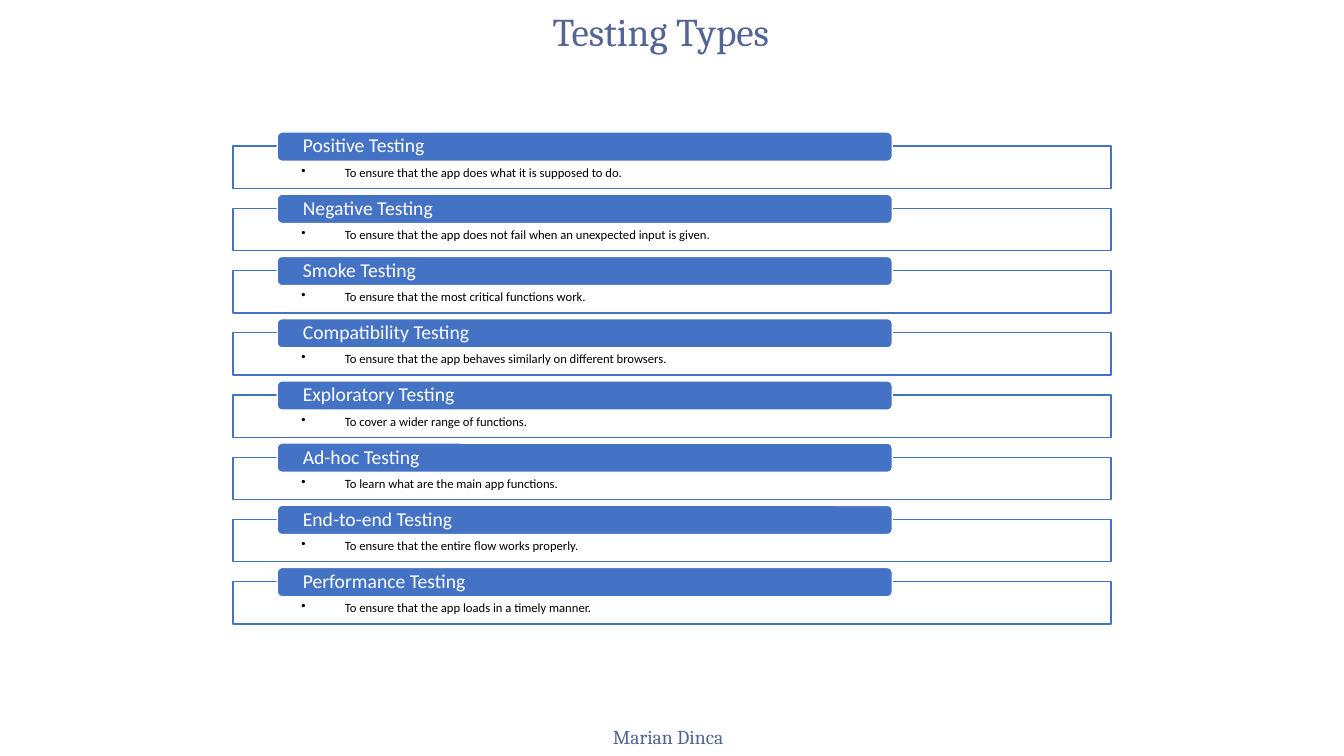
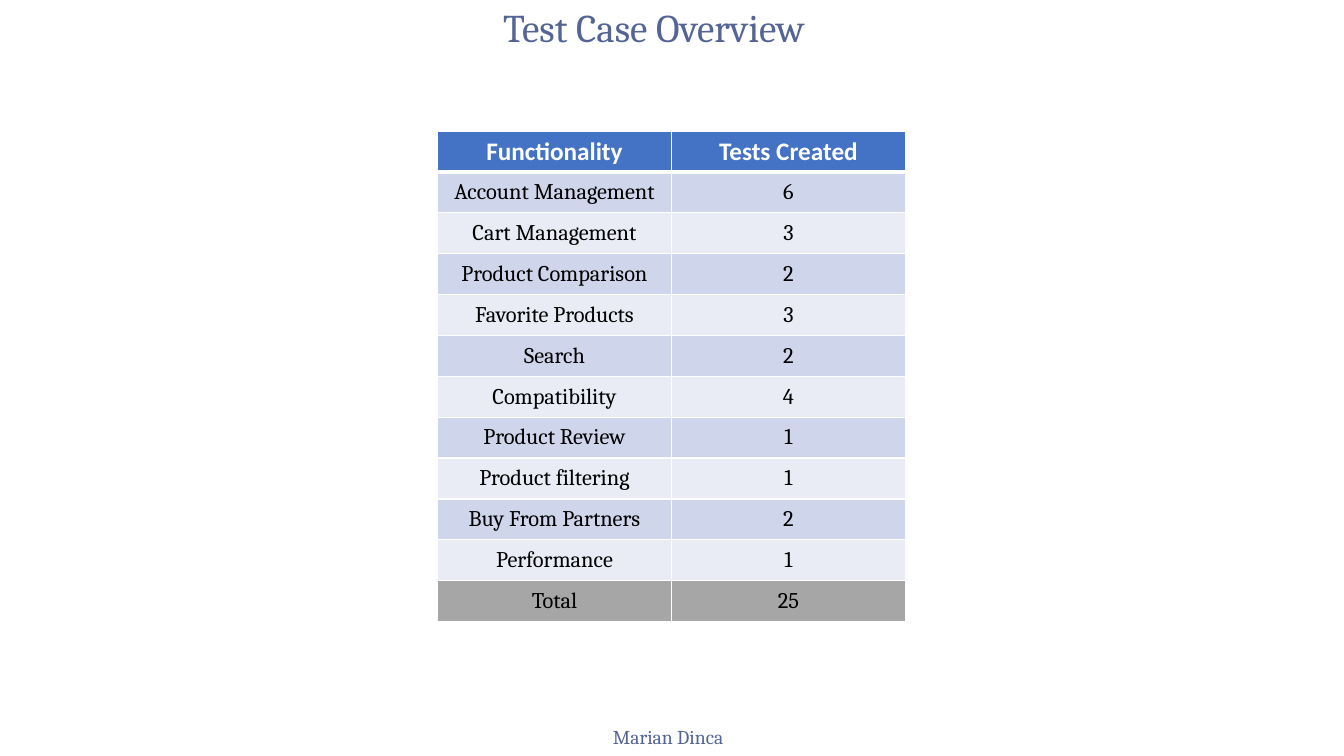
from dataclasses import dataclass

from pptx import Presentation
from pptx.dml.color import RGBColor
from pptx.enum.shapes import MSO_SHAPE
from pptx.enum.text import MSO_ANCHOR, PP_ALIGN
from pptx.oxml.ns import qn
from pptx.shapes.autoshape import Shape
from pptx.slide import Slide
from pptx.table import _Cell
from pptx.text.text import TextFrame
from pptx.util import Inches, Pt
from lxml.etree import SubElement


@dataclass(frozen=True)
class Theme:
    title: str = "536495"
    accent: str = "4472C4"
    white: str = "FFFFFF"
    black: str = "000000"
    band_dark: str = "CFD5EA"
    band_light: str = "E9EBF5"
    total: str = "A6A6A6"
    serif: str = "Cambria"
    sans: str = "Calibri"
    title_size: int = 28
    header_size: int = 18
    cell_size: int = 16
    label_size: int = 14
    note_size: int = 9


@dataclass(frozen=True)
class Box:
    left: float
    top: float
    width: float
    height: float

    def emu(self) -> tuple[int, int, int, int]:
        return (Inches(self.left), Inches(self.top),
                Inches(self.width), Inches(self.height))


@dataclass(frozen=True)
class TestingType:
    name: str
    purpose: str


@dataclass(frozen=True)
class TestCount:
    functionality: str
    tests: int


THEME = Theme()
FOOTER = Box(5.98, 7.14, 1.38, 0.34)

TESTING_TYPES = [
    TestingType("Positive Testing", "To ensure that the app does what it is supposed to do."),
    TestingType("Negative Testing",
                "To ensure that the app does not fail when an unexpected input is given."),
    TestingType("Smoke Testing", "To ensure that the most critical functions work."),
    TestingType("Compatibility Testing",
                "To ensure that the app behaves similarly on different browsers."),
    TestingType("Exploratory Testing", "To cover a wider range of functions."),
    TestingType("Ad-hoc Testing", "To learn what are the main app functions."),
    TestingType("End-to-end Testing", "To ensure that the entire flow works properly."),
    TestingType("Performance Testing", "To ensure that the app loads in a timely manner."),
]

TEST_COUNTS = [
    TestCount("Account Management", 6),
    TestCount("Cart Management", 3),
    TestCount("Product Comparison", 2),
    TestCount("Favorite Products", 3),
    TestCount("Search", 2),
    TestCount("Compatibility", 4),
    TestCount("Product Review", 1),
    TestCount("Product filtering", 1),
    TestCount("Buy From Partners", 2),
    TestCount("Performance", 1),
]


def write(tf: TextFrame, text: str, *, size: int, color: str, font: str = THEME.serif,
          bold: bool = False, align: PP_ALIGN = PP_ALIGN.LEFT,
          anchor: MSO_ANCHOR = MSO_ANCHOR.TOP, spacing: float = 1.0,
          insets: tuple[float, float, float, float] = (0.1, 0.05, 0.1, 0.05),
          bullet_indent: float = 0) -> None:
    tf.word_wrap = True
    tf.vertical_anchor = anchor
    tf.margin_left, tf.margin_top, tf.margin_right, tf.margin_bottom = map(Inches, insets)
    p = tf.paragraphs[0]
    p.alignment = align
    p.line_spacing = spacing
    p.space_before = Pt(0)
    r = p.add_run()
    r.text = text
    r.font.name = font
    r.font.size = Pt(size)
    r.font.bold = bold
    r.font.color.rgb = RGBColor.from_string(color)
    if bullet_indent:
        pPr = p._p.get_or_add_pPr()
        pPr.set("marL", str(Inches(bullet_indent)))
        pPr.set("indent", str(-Inches(bullet_indent)))
        SubElement(pPr, qn("a:buChar")).set("char", "•")


def add_titled_slide(prs: Presentation, title: str, box: Box) -> Slide:
    s = prs.slides.add_slide(prs.slide_layouts[5])
    sp = s.shapes.title
    sp.left, sp.top, sp.width, sp.height = box.emu()
    write(sp.text_frame, title, size=THEME.title_size, color=THEME.title)
    footer = s.shapes.add_textbox(*FOOTER.emu())
    write(footer.text_frame, "Marian Dinca", size=THEME.label_size, color=THEME.title)
    return s


def add_panel(s: Slide, kind: MSO_SHAPE, box: Box, fill: str, line: str) -> Shape:
    sp = s.shapes.add_shape(kind, *box.emu())
    sp.shadow.inherit = False
    sp.fill.solid()
    sp.fill.fore_color.rgb = RGBColor.from_string(fill)
    sp.line.color.rgb = RGBColor.from_string(line)
    sp.line.width = Pt(1)
    return sp


def add_testing_types(s: Slide, first_top: float = 1.45, last_top: float = 5.77) -> None:
    pitch = (last_top - first_top) / (len(TESTING_TYPES) - 1)
    for i, item in enumerate(TESTING_TYPES):
        top = first_top + i * pitch
        frame = add_panel(s, MSO_SHAPE.RECTANGLE, Box(2.31, top, 8.71, 0.42),
                          THEME.white, THEME.accent)
        write(frame.text_frame, item.purpose, size=THEME.note_size, color=THEME.black,
              font=THEME.sans, spacing=0.9, insets=(0.68, 0.2, 0.68, 0.07),
              bullet_indent=0.43)
        label = add_panel(s, MSO_SHAPE.ROUNDED_RECTANGLE, Box(2.75, top - 0.14, 6.1, 0.29),
                          THEME.accent, THEME.white)
        write(label.text_frame, item.name, size=THEME.label_size, color=THEME.white,
              font=THEME.sans, anchor=MSO_ANCHOR.MIDDLE, spacing=0.9,
              insets=(0.24, 0, 0.24, 0))


def set_borders(cell: _Cell, top: float = 1, bottom: float = 1) -> None:
    tcPr = cell._tc.get_or_add_tcPr()
    widths = {"a:lnL": 1, "a:lnR": 1, "a:lnT": top, "a:lnB": bottom}
    for i, (tag, width) in enumerate(widths.items()):
        ln = SubElement(tcPr, qn(tag))
        ln.set("w", str(Pt(width)))
        fill = SubElement(ln, qn("a:solidFill"))
        SubElement(fill, qn("a:srgbClr")).set("val", THEME.white)
        tcPr.insert(i, ln)


def add_count_table(s: Slide, box: Box) -> None:
    total = sum(c.tests for c in TEST_COUNTS)
    rows = [("Functionality", "Tests Created"),
            *((c.functionality, str(c.tests)) for c in TEST_COUNTS),
            ("Total", str(total))]
    table = s.shapes.add_table(len(rows), 2, *box.emu()).table
    last = len(rows) - 1
    for i, values in enumerate(rows):
        if i == 0:
            fill = THEME.accent
            style = dict(size=THEME.header_size, color=THEME.white, font=THEME.sans, bold=True)
        else:
            band = THEME.band_dark if i % 2 else THEME.band_light
            fill = THEME.total if i == last else band
            style = dict(size=THEME.cell_size, color=THEME.black)
        for j, value in enumerate(values):
            cell = table.cell(i, j)
            cell.fill.solid()
            cell.fill.fore_color.rgb = RGBColor.from_string(fill)
            cell.vertical_anchor = MSO_ANCHOR.MIDDLE if i else MSO_ANCHOR.TOP
            write(cell.text_frame, value, align=PP_ALIGN.CENTER, **style)
            set_borders(cell, top=3 if i == 1 else 1, bottom=1 if i else 3)


def main() -> None:
    prs = Presentation()
    prs.slide_width, prs.slide_height = Inches(13.33), Inches(7.5)
    add_testing_types(add_titled_slide(prs, "Testing Types", Box(5.38, 0.02, 2.58, 0.57)))
    s = add_titled_slide(prs, "Test Case Overview", Box(4.89, -0.02, 3.56, 0.57))
    add_count_table(s, Box(4.34, 1.3, 4.64, 4.87))
    prs.save("out.pptx")


if __name__ == "__main__":
    main()
